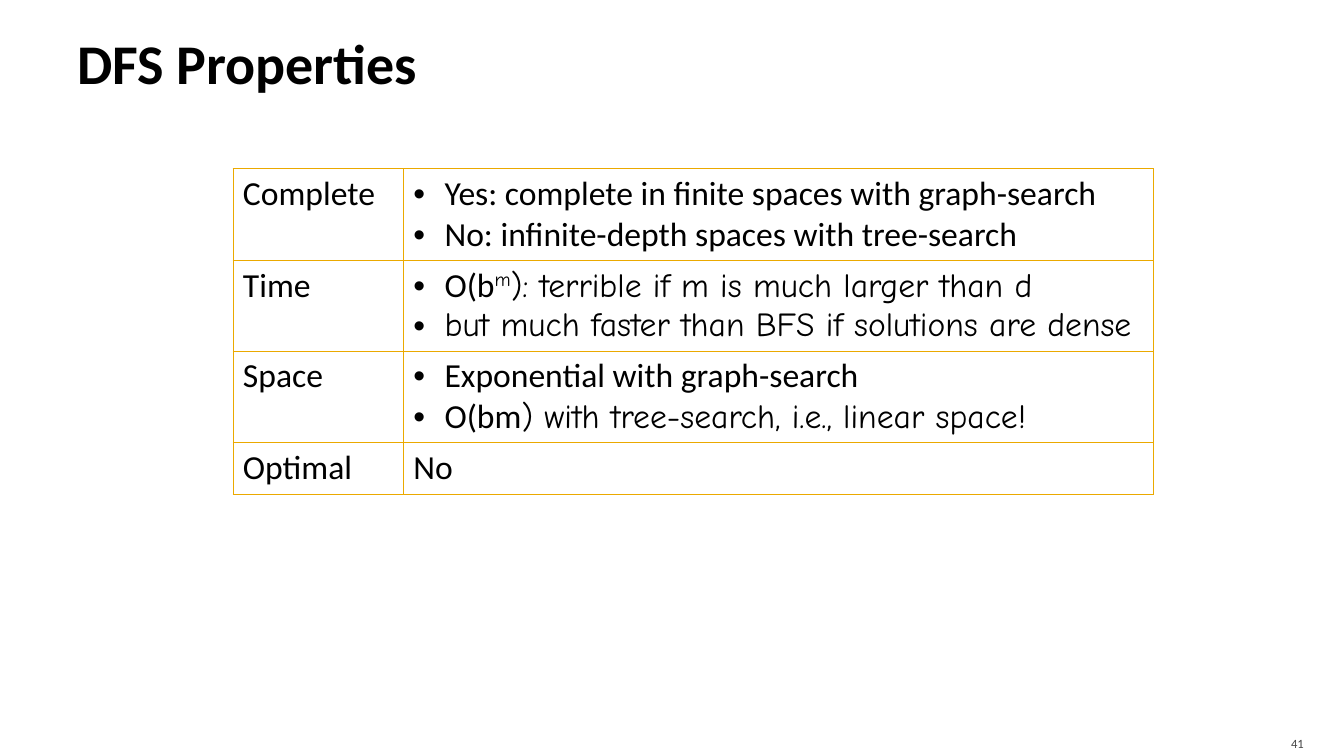
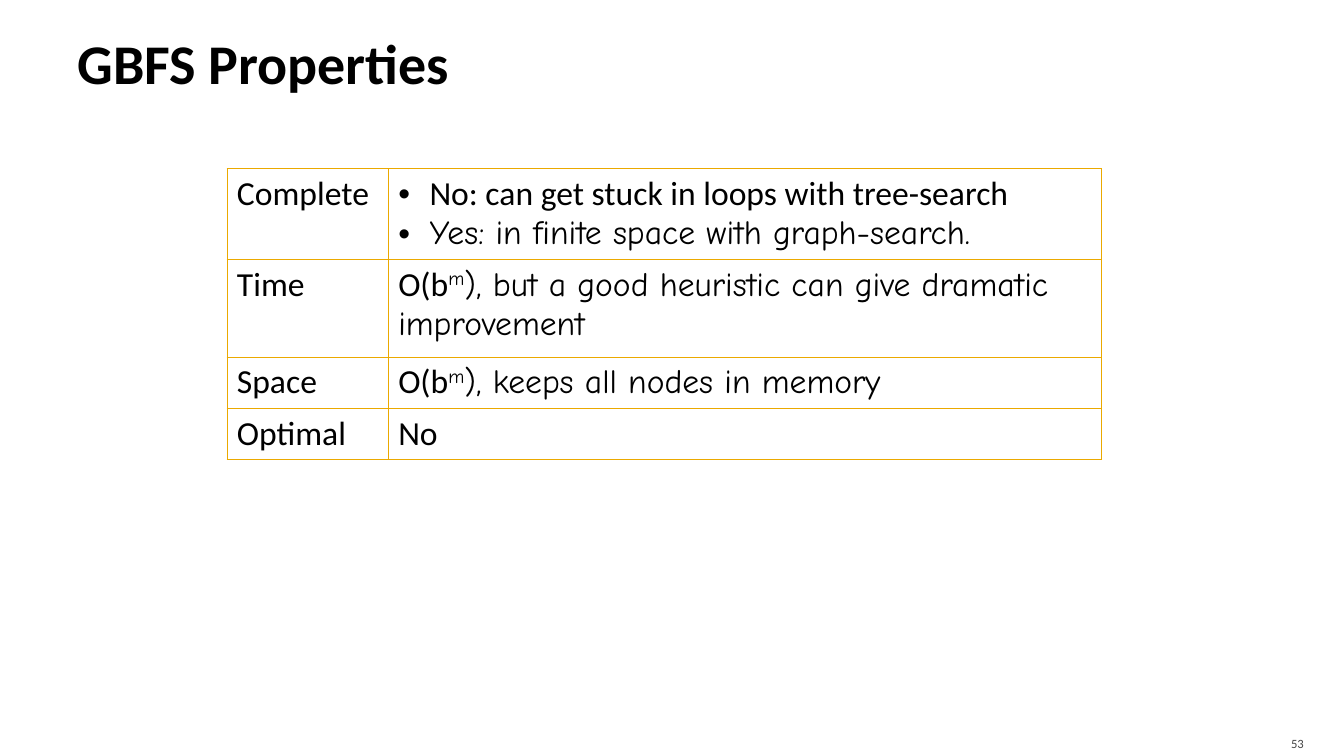
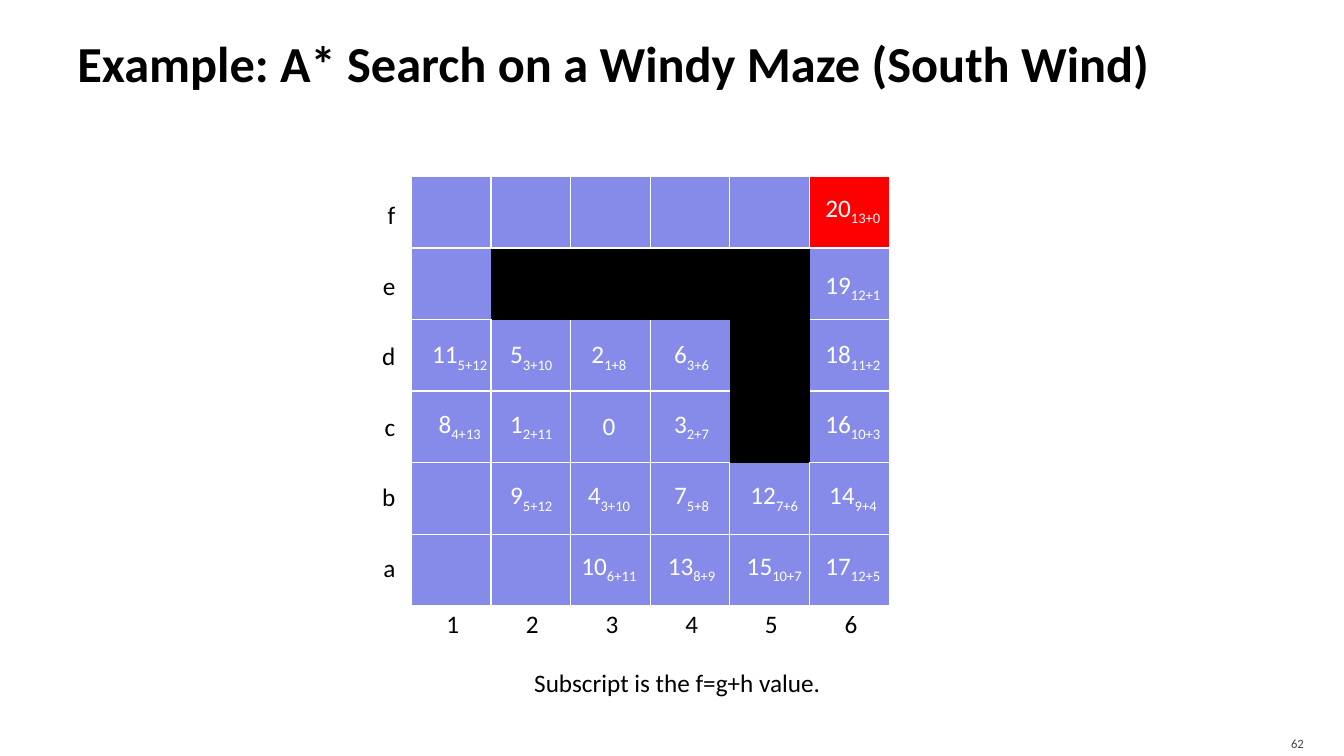
import pptx
import pptx.util
import pptx.dml.color
import pptx.enum.shapes
import pptx.enum.text
import pptx.oxml.ns
import lxml.etree

Inches = pptx.util.Inches
Pt = pptx.util.Pt
ALIGN = pptx.enum.text.PP_ALIGN
ANCHOR = pptx.enum.text.MSO_ANCHOR

# Shared look
BLACK, WHITE, GREY = "000000", "FFFFFF", "454545"
GOLD, BLUE, RED = "EBA900", "868BE9", "FF0000"
BODY, COMIC = "Calibri", "Comic Neue"
TITLE_BOX = (0.67, 0.08, 12, 1.08)
NUMBER_BOX = (11.96, 7.2, 1.07, 0.3)
DEFAULT_INSETS = (0.1, 0.05, 0.1, 0.05)
EDGES = {"L": (0, -1), "R": (0, 1), "T": (-1, 0), "B": (1, 0)}

# Table content: a cell is a list of paragraphs, a paragraph a list of runs
POWER = [("O(b", {}), ("m", {"name": COMIC, "baseline": 30})]
DFS_ROWS = [
    ("Complete", 0.91, True,
     [[("Yes: complete in finite spaces with graph-search", {})],
      [("No: infinite-depth spaces with tree-search", {})]]),
    ("Time", 0.89, True,
     [POWER + [("): terrible if m is much larger than d", {"name": COMIC})],
      [("but much faster than BFS if solutions are dense", {"name": COMIC})]]),
    ("Space", 0.91, True,
     [[("Exponential with graph-search", {})],
      [("O(bm", {}), (") with tree-search, i.e., linear space!", {"name": COMIC})]]),
    ("Optimal", 0.51, False, [[("No", {})]]),
]
GBFS_ROWS = [
    ("Complete", 0.89, True,
     [[("No: can get stuck in loops with tree-search", {})],
      [("Yes: in finite space with graph-search.", {"name": COMIC})]]),
    ("Time", 0.97, False,
     [POWER + [("), but a good heuristic can give dramatic improvement",
                {"name": COMIC})]]),
    ("Space", 0.51, False,
     [POWER + [("), keeps all nodes in memory", {"name": COMIC})]]),
    ("Optimal", 0.51, False, [[("No", {})]]),
]

# Maze content: rows run from f (top) to a, columns from 1 to 6
MAZE_LEFT, MAZE_TOP, CELL_W, CELL_H = 4.08, 1.75, 0.79, 0.71
MAZE_ROWS = "fedcba"
WALLS = {"e2", "e3", "e4", "e5", "d5", "c5"}
GOAL = "f6"
STEP_SIZE = 0.6
STEP_LEFTS = [4.26, 4.97, 5.74, 6.56, 7.38, 8.16]
STEP_TOPS = [1.78, 2.54, 3.23, 3.92, 4.63, 5.33]
# Cells in order of expansion, with their g+h subscripts
STEPS = [
    ("c3", ""), ("c2", "2+11"), ("d3", "1+8"), ("c4", "2+7"), ("b3", "3+10"),
    ("d2", "3+10"), ("d4", "3+6"), ("b4", "5+8"), ("c1", "4+13"),
    ("b2", "5+12"), ("a3", "6+11"), ("d1", "5+12"), ("b5", "7+6"),
    ("a4", "8+9"), ("b6", "9+4"), ("a5", "10+7"), ("c6", "10+3"),
    ("a6", "12+5"), ("d6", "11+2"), ("e6", "12+1"), ("f6", "13+0"),
]


def rgb(value):
    return pptx.dml.color.RGBColor.from_string(value)


def add_xml(parent, tag, **attrs):
    return lxml.etree.SubElement(parent, pptx.oxml.ns.qn(tag), **attrs)


def add_runs(p, runs, **base):
    """Runs are (text, format) pairs; base holds the format they share."""
    for text, fmt in runs:
        r = p.add_run()
        r.text = text
        values = {"name": BODY, "size": 24, "color": BLACK, **base, **fmt}
        r.font.color.rgb = rgb(values.pop("color"))
        values["size"] = Pt(values["size"])
        baseline = values.pop("baseline", 0)
        if baseline:
            r._r.get_or_add_rPr().set("baseline", str(baseline * 1000))
        for name, value in values.items():
            setattr(r.font, name, value)


def set_frame(tf, insets=DEFAULT_INSETS, anchor=ANCHOR.TOP, wrap=False):
    sides = zip(("left", "top", "right", "bottom"), insets)
    fmt = {f"margin_{side}": Inches(value) for side, value in sides}
    fmt.update(vertical_anchor=anchor, word_wrap=wrap)
    for name, value in fmt.items():
        setattr(tf, name, value)


def add_text(s, box, text, align=ALIGN.LEFT, frame=None, **fmt):
    sp = s.shapes.add_textbox(*map(Inches, box))
    set_frame(sp.text_frame, **(frame or {}))
    p = sp.text_frame.paragraphs[0]
    p.alignment = align
    add_runs(p, [(text, {})], **fmt)


def add_slide(prs, title, number, size=40):
    s = prs.slides.add_slide(prs.slide_layouts[6])
    add_text(s, TITLE_BOX, title, size=size, bold=True,
             frame=dict(insets=(0.1, 0.05, 0.05, 0.05), anchor=ANCHOR.MIDDLE, wrap=True))
    add_text(s, NUMBER_BOX, str(number), ALIGN.RIGHT, size=9, color=GREY,
             frame=dict(insets=(0.1, 0.05, 0.1, 0), anchor=ANCHOR.MIDDLE, wrap=True))
    return s


def add_table(s, left, top, widths, heights):
    box = (left, top, sum(widths), sum(heights))
    table = s.shapes.add_table(len(heights), len(widths), *map(Inches, box)).table
    table.first_row = table.horz_banding = False
    for column, width in zip(table.columns, widths):
        column.width = Inches(width)
    for row, height in zip(table.rows, heights):
        row.height = Inches(height)
    return table


def set_borders(cell, color, width, edges="LRTB"):
    """Draw the given edges and switch the others off."""
    tcPr = cell._tc.get_or_add_tcPr()
    for edge in EDGES:
        ln = add_xml(tcPr, f"a:ln{edge}", w=str(Pt(width)))
        if edge in edges:
            add_xml(add_xml(ln, "a:solidFill"), "a:srgbClr", val=color)
        else:
            add_xml(ln, "a:noFill")


def set_bullet(p):
    pPr = p._p.get_or_add_pPr()
    pPr.set("marL", str(Inches(0.31)))
    pPr.set("indent", str(Inches(-0.31)))
    add_xml(pPr, "a:buFont", typeface="Arial")
    add_xml(pPr, "a:buChar", char="•")


def fill_cell(cell, paragraphs, bulleted=False):
    set_borders(cell, GOLD, 0.5)
    cell.fill.background()
    tf = cell.text_frame
    for i, runs in enumerate(paragraphs):
        p = tf.add_paragraph() if i else tf.paragraphs[0]
        if bulleted:
            set_bullet(p)
        add_runs(p, runs)


def add_properties(s, left, widths, rows):
    table = add_table(s, left, 1.67, widths, [row[1] for row in rows])
    for i, (label, _, bulleted, paragraphs) in enumerate(rows):
        fill_cell(table.cell(i, 0), [[(label, {})]])
        fill_cell(table.cell(i, 1), paragraphs, bulleted)


def cell_name(row, col):
    inside = 0 <= row < len(MAZE_ROWS)
    return f"{MAZE_ROWS[row]}{col + 1}" if inside else ""


def open_edges(row, col):
    """Edges next to a wall stay undrawn, except below the top row."""
    here = cell_name(row, col)
    edges = ""
    for edge, (dr, dc) in EDGES.items():
        pair = {here, cell_name(row + dr, col + dc)}
        if not pair & WALLS or {row, row + dr} == {0, 1}:
            edges += edge
    return edges


def add_maze(s):
    n = len(MAZE_ROWS)
    table = add_table(s, MAZE_LEFT, MAZE_TOP, [CELL_W] * n, [CELL_H] * n)
    for row in range(n):
        for col in range(n):
            cell, name = table.cell(row, col), cell_name(row, col)
            set_borders(cell, WHITE, 1, open_edges(row, col))
            cell.fill.solid()
            color = BLACK if name in WALLS else RED if name == GOAL else BLUE
            cell.fill.fore_color.rgb = rgb(color)


def add_step(s, number, name, subscript):
    left = STEP_LEFTS[int(name[1]) - 1]
    top = STEP_TOPS[MAZE_ROWS.index(name[0])]
    sp = s.shapes.add_shape(pptx.enum.shapes.MSO_SHAPE.OVAL,
                            *map(Inches, (left, top, STEP_SIZE, STEP_SIZE)))
    sp.shadow.inherit = False
    sp.fill.background()
    sp.line.fill.background()
    set_frame(sp.text_frame, (0, 0, 0, 0), ANCHOR.MIDDLE)
    p = sp.text_frame.paragraphs[0]
    p.alignment = ALIGN.CENTER
    runs = [(str(number), {})]
    if subscript:
        runs.append((subscript, {"baseline": -25}))
    add_runs(p, runs, size=18, color=WHITE)


def add_axis_labels(s):
    for i, letter in enumerate(MAZE_ROWS):
        add_text(s, (3.68, 1.93 + 0.7 * i, 0.34, 0.4), letter, ALIGN.RIGHT, size=18)
        add_text(s, (4.32 + CELL_W * i, 5.99, 0.34, 0.4), str(i + 1),
                 ALIGN.CENTER, size=18)


def main():
    prs = pptx.Presentation()
    prs.slide_width, prs.slide_height = Inches(13.33), Inches(7.5)

    # Property tables
    s = add_slide(prs, "DFS Properties", 41)
    add_properties(s, 2.31, [1.69, 7.44], DFS_ROWS)
    s = add_slide(prs, "GBFS Properties", 53)
    add_properties(s, 2.25, [1.6, 7.07], GBFS_ROWS)

    # Maze
    s = add_slide(prs, "Example: A* Search on a Windy Maze (South Wind)", 62, 36)
    add_maze(s)
    add_axis_labels(s)
    for number, (name, subscript) in enumerate(STEPS):
        add_step(s, number, name, subscript)
    add_text(s, (5.2, 6.57, 3.18, 0.4), "Subscript is the f=g+h value.", size=18)

    prs.save("out.pptx")


if __name__ == "__main__":
    main()
